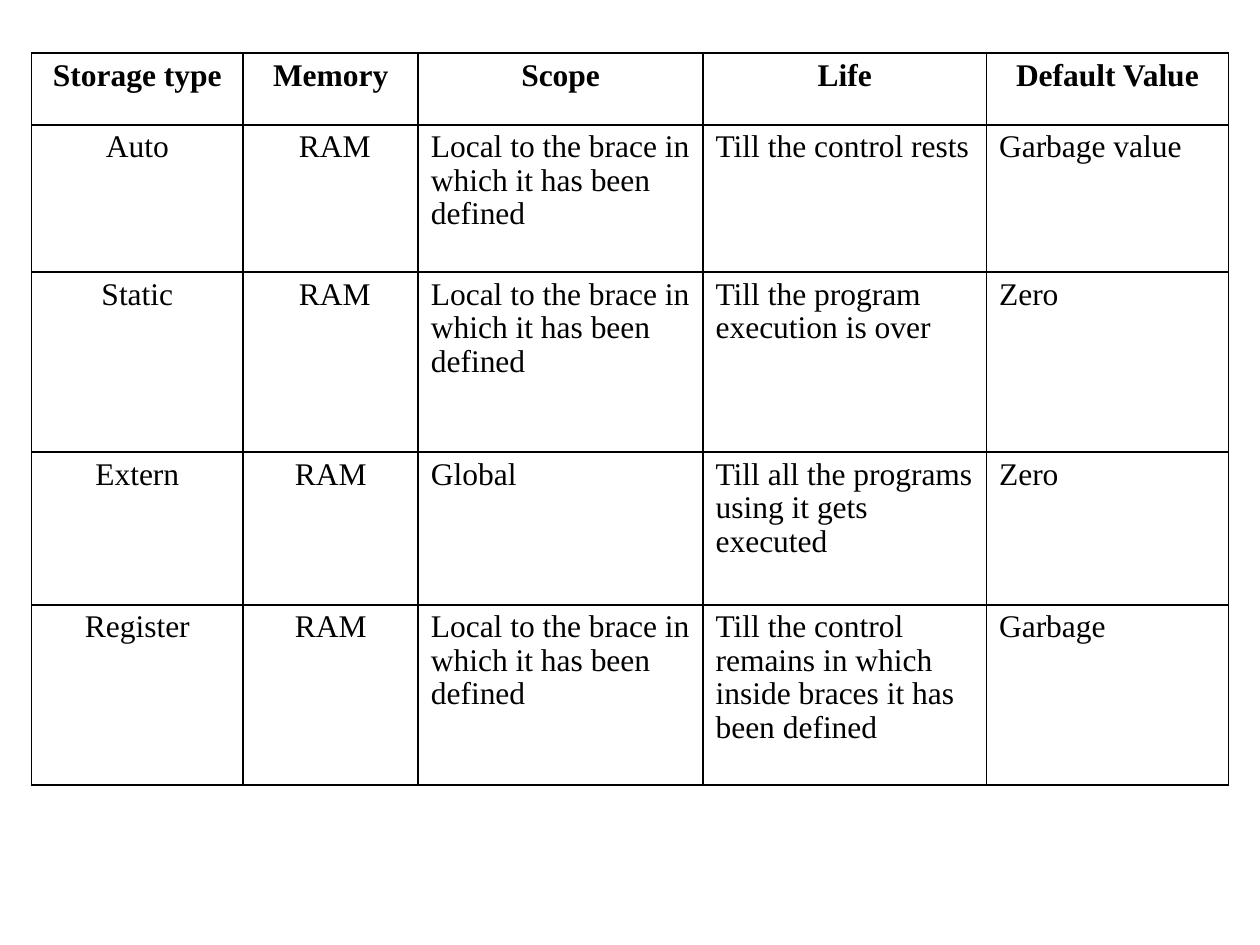
from pptx import Presentation, util as u
from pptx.dml.color import RGBColor
from pptx.enum import text
from pptx.oxml import parse_xml
from pptx.oxml.ns import nsdecls

# Content
LOCAL = "Local to the brace in which it has been defined"
ROWS = [
    ["Storage type", "Memory", "Scope", "Life", "Default Value"],
    ["Auto", " RAM", LOCAL, "Till the control rests", "Garbage value"],
    ["Static", " RAM", LOCAL, "Till the program execution is over", "Zero"],
    ["Extern", "RAM", "Global", "Till all the programs using it gets executed", "Zero"],
    ["Register", "RAM", LOCAL,
     "Till the control remains in which inside braces it has been defined", "Garbage"],
]
COL_WIDTHS = [1.68, 1.39, 2.26, 2.25, 1.92]
ROW_HEIGHTS = [0.57, 1.17, 1.43, 1.21, 1.43]
CENTRED_COLS = 2
COLORS = {"ink": "000000"}
FONT = "Times New Roman"
BORDER_PT = 1.08


def write(tf, content, size=18, bold=False, centred=False):
    p = tf.paragraphs[0]
    p.alignment = text.PP_ALIGN.CENTER if centred else text.PP_ALIGN.LEFT
    p.space_before = u.Pt(4.5)
    p.line_spacing = 0.96
    r = p.add_run()
    r.text = content
    r.font.name, r.font.size, r.font.bold = FONT, u.Pt(size), bold
    r.font.color.rgb = RGBColor.from_string(COLORS["ink"])


def add_borders(cell):
    tc_pr = cell._tc.get_or_add_tcPr()
    for i, side in enumerate(("lnL", "lnR", "lnT", "lnB")):
        tc_pr.insert(i, parse_xml(
            f'<a:{side} {nsdecls("a")} w="{u.Pt(BORDER_PT)}"><a:solidFill>'
            f'<a:srgbClr val="{COLORS["ink"]}"/></a:solidFill></a:{side}>'))


prs = Presentation()
prs.slide_width, prs.slide_height = u.Inches(10), u.Inches(7.5)
s = prs.slides.add_slide(prs.slide_layouts[6])

# Storage class table
table = s.shapes.add_table(
    len(ROWS), len(COL_WIDTHS), u.Inches(0.25), u.Inches(0.42),
    u.Inches(sum(COL_WIDTHS)), u.Inches(sum(ROW_HEIGHTS))).table
table.horz_banding = False
for col, width in zip(table.columns, COL_WIDTHS):
    col.width = u.Inches(width)
for row, height in zip(table.rows, ROW_HEIGHTS):
    row.height = u.Inches(height)

# Cells
for i, values in enumerate(ROWS):
    for j, value in enumerate(values):
        cell = table.cell(i, j)
        cell.fill.background()
        cell.margin_left = cell.margin_right = u.Inches(0.1)
        cell.margin_top = cell.margin_bottom = u.Inches(0.05)
        add_borders(cell)
        write(cell.text_frame, value, bold=i == 0, centred=i == 0 or j < CENTRED_COLS)

prs.save("out.pptx")
